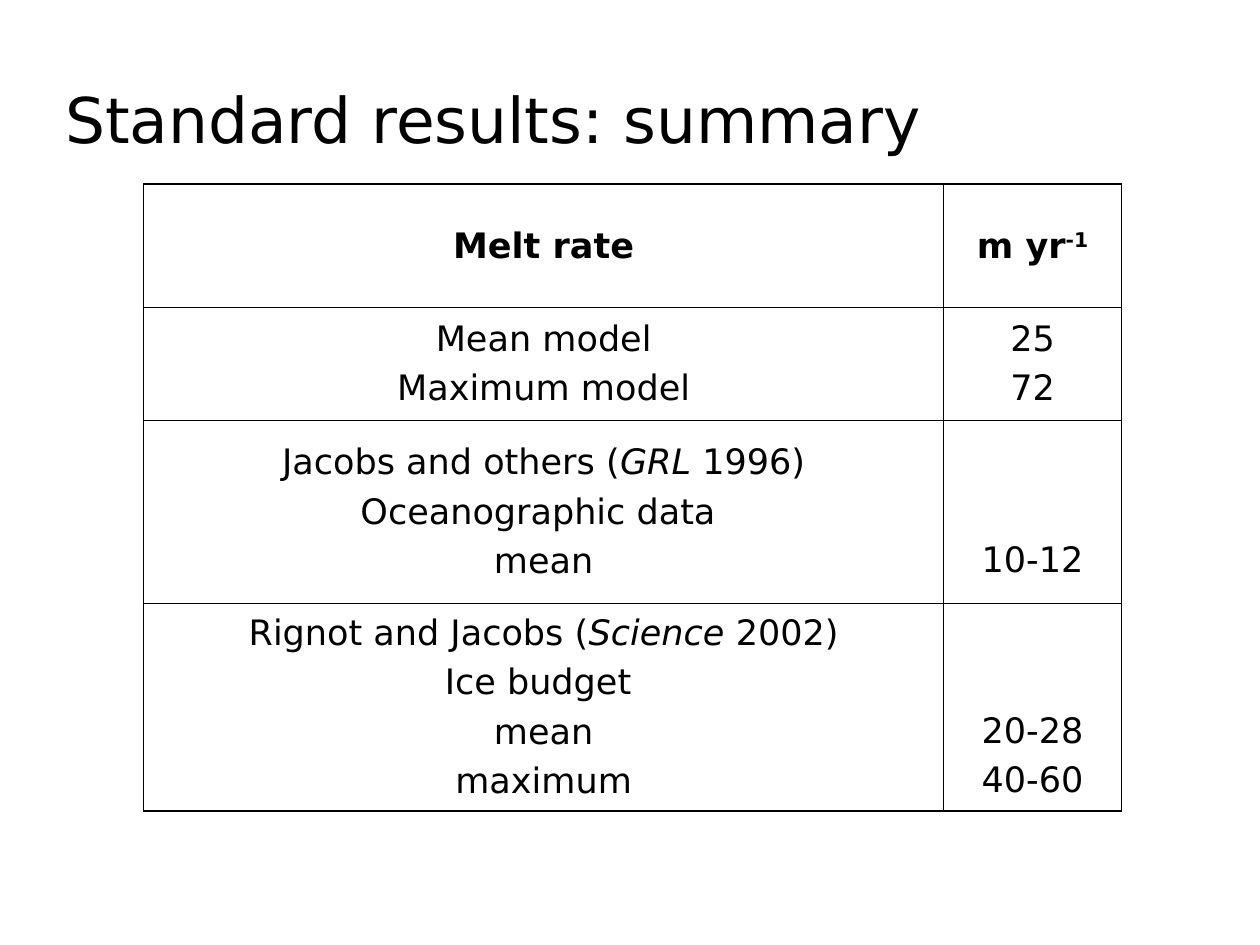
from dataclasses import dataclass

from lxml.etree import SubElement
from pptx import Presentation
from pptx.dml.color import RGBColor
from pptx.enum.text import MSO_ANCHOR as Anchor, PP_ALIGN as Align
from pptx.oxml.ns import qn
from pptx.slide import Slide
from pptx.table import _Cell as Cell
from pptx.text.text import _Paragraph as Paragraph
from pptx.util import Inches, Pt


@dataclass(frozen=True)
class Theme:
    font: str = "DejaVu Sans"
    ink: str = "000000"
    title_size: float = 36
    body_size: float = 20
    line_gap: float = 5
    outer_line: float = 1.08
    inner_line: float = 0.45


@dataclass(frozen=True)
class Span:
    text: str
    italic: bool = False
    superscript: bool = False


@dataclass(frozen=True)
class Row:
    height: float
    labels: list[list[Span]]
    values: list[list[Span]]
    bold: bool = False
    value_anchor: Anchor = Anchor.MIDDLE
    value_margin: float = 0.05


THEME = Theme()
SLIDE_WIDTH, SLIDE_HEIGHT = 10, 7.5
TABLE_LEFT, TABLE_TOP = 0.114 * SLIDE_WIDTH, 0.195 * SLIDE_HEIGHT
COLUMN_WIDTHS = (6.35, 1.41)


def plain(*lines: str) -> list[list[Span]]:
    return [[Span(line)] for line in lines]


def citation(authors: str, journal: str, year: str) -> list[Span]:
    return [Span(f"{authors} ("), Span(journal, italic=True), Span(f" {year})")]


# Values of the cited studies line up with the last labels of their row
ROWS = [
    Row(0.98, plain("Melt rate"), [[Span("m yr"), Span("-1", superscript=True)]], bold=True),
    Row(0.89, plain("Mean model", "Maximum model"), plain("25", "72")),
    Row(1.46,
        [citation("Jacobs and others", "GRL", "1996"), *plain("Oceanographic data ", "mean")],
        plain("10-12"), value_anchor=Anchor.BOTTOM, value_margin=0.18),
    Row(1.64,
        [citation("Rignot and Jacobs", "Science", "2002"),
         *plain("Ice budget ", "mean", "maximum")],
        plain("20-28", "40-60"), value_anchor=Anchor.BOTTOM, value_margin=0.08),
]


def style_paragraph(paragraph: Paragraph, size: float, bold: bool = False) -> None:
    font = paragraph.font
    font.name, font.size, font.bold = THEME.font, Pt(size), bold
    font.color.rgb = RGBColor.from_string(THEME.ink)


def set_borders(cell: Cell, outer_sides: set[str]) -> None:
    properties = cell._tc.get_or_add_tcPr()
    for side in ("L", "R", "T", "B"):
        width = THEME.outer_line if side in outer_sides else THEME.inner_line
        line = SubElement(properties, qn(f"a:ln{side}"), w=str(int(Pt(width))))
        fill = SubElement(line, qn("a:solidFill"))
        SubElement(fill, qn("a:srgbClr"), val=THEME.ink)


def fill_cell(cell: Cell, lines: list[list[Span]], bold: bool) -> None:
    frame = cell.text_frame
    for index, spans in enumerate(lines):
        paragraph = frame.add_paragraph() if index else frame.paragraphs[0]
        paragraph.alignment = Align.CENTER
        if index:
            paragraph.space_before = Pt(THEME.line_gap)
        style_paragraph(paragraph, THEME.body_size, bold)
        for span in spans:
            run = paragraph.add_run()
            run.text = span.text
            if span.italic:
                run.font.italic = True
            if span.superscript:
                run._r.get_or_add_rPr().set("baseline", "30000")


def add_title(slide: Slide, text: str) -> None:
    box = slide.shapes.add_textbox(Inches(0.42), Inches(0.59), Inches(8.82), Inches(0.7))
    frame = box.text_frame
    frame.word_wrap = True
    frame.vertical_anchor = Anchor.MIDDLE
    frame.text = text
    style_paragraph(frame.paragraphs[0], THEME.title_size)


def add_results_table(slide: Slide, rows: list[Row]) -> None:
    table = slide.shapes.add_table(
        len(rows), len(COLUMN_WIDTHS), Inches(TABLE_LEFT), Inches(TABLE_TOP),
        Inches(sum(COLUMN_WIDTHS)), Inches(sum(row.height for row in rows))).table
    table.first_row = table.horz_banding = False
    for column, width in zip(table.columns, COLUMN_WIDTHS):
        column.width = Inches(width)
    for row_index, row in enumerate(rows):
        table.rows[row_index].height = Inches(row.height)
        row_sides = {"T"} if row_index == 0 else {"B"} if row_index == len(rows) - 1 else set()
        for column_index, (lines, side) in enumerate(((row.labels, "L"), (row.values, "R"))):
            cell = table.cell(row_index, column_index)
            set_borders(cell, row_sides | {side})
            cell.fill.background()
            cell.vertical_anchor = Anchor.MIDDLE
            fill_cell(cell, lines, row.bold)
        cell.vertical_anchor = row.value_anchor
        cell.margin_bottom = Inches(row.value_margin)


def main() -> None:
    presentation = Presentation()
    presentation.slide_width = Inches(SLIDE_WIDTH)
    presentation.slide_height = Inches(SLIDE_HEIGHT)
    slide = presentation.slides.add_slide(presentation.slide_layouts[6])
    add_title(slide, "Standard results: summary")
    add_results_table(slide, ROWS)
    presentation.save("out.pptx")


if __name__ == "__main__":
    main()
